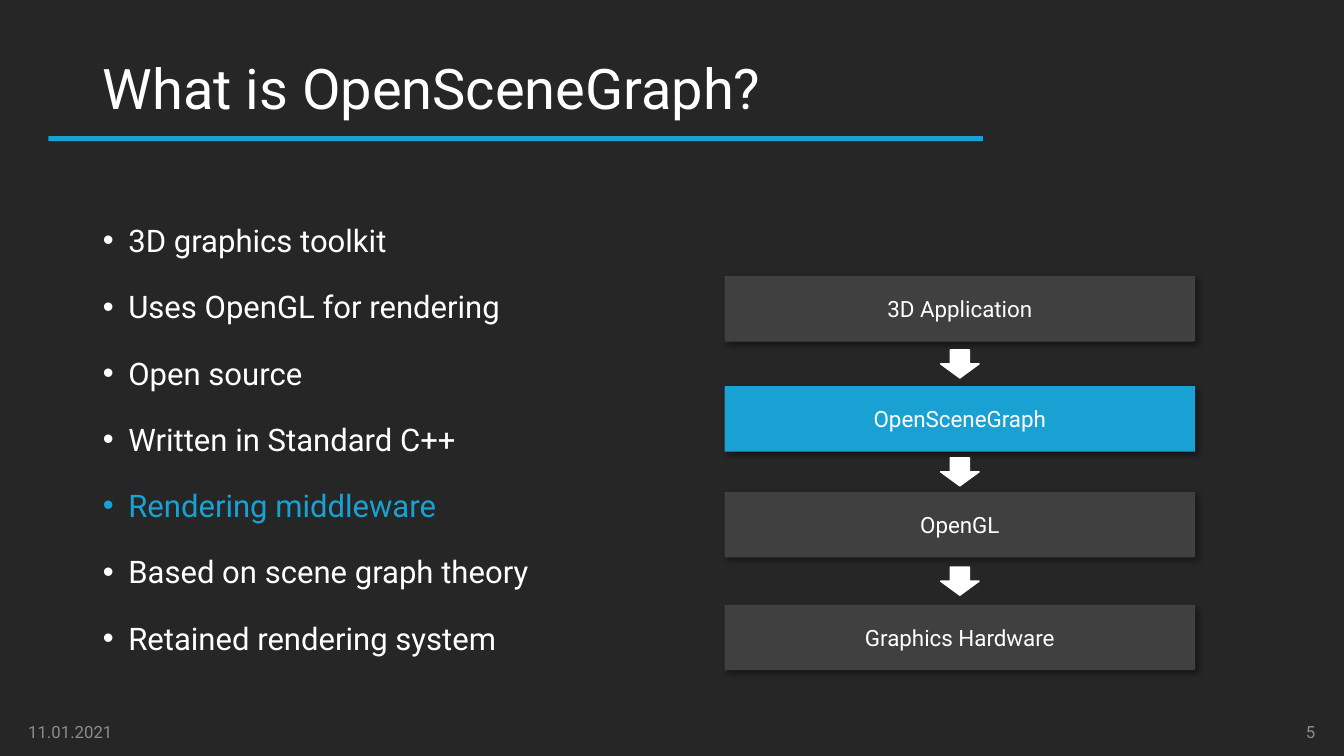
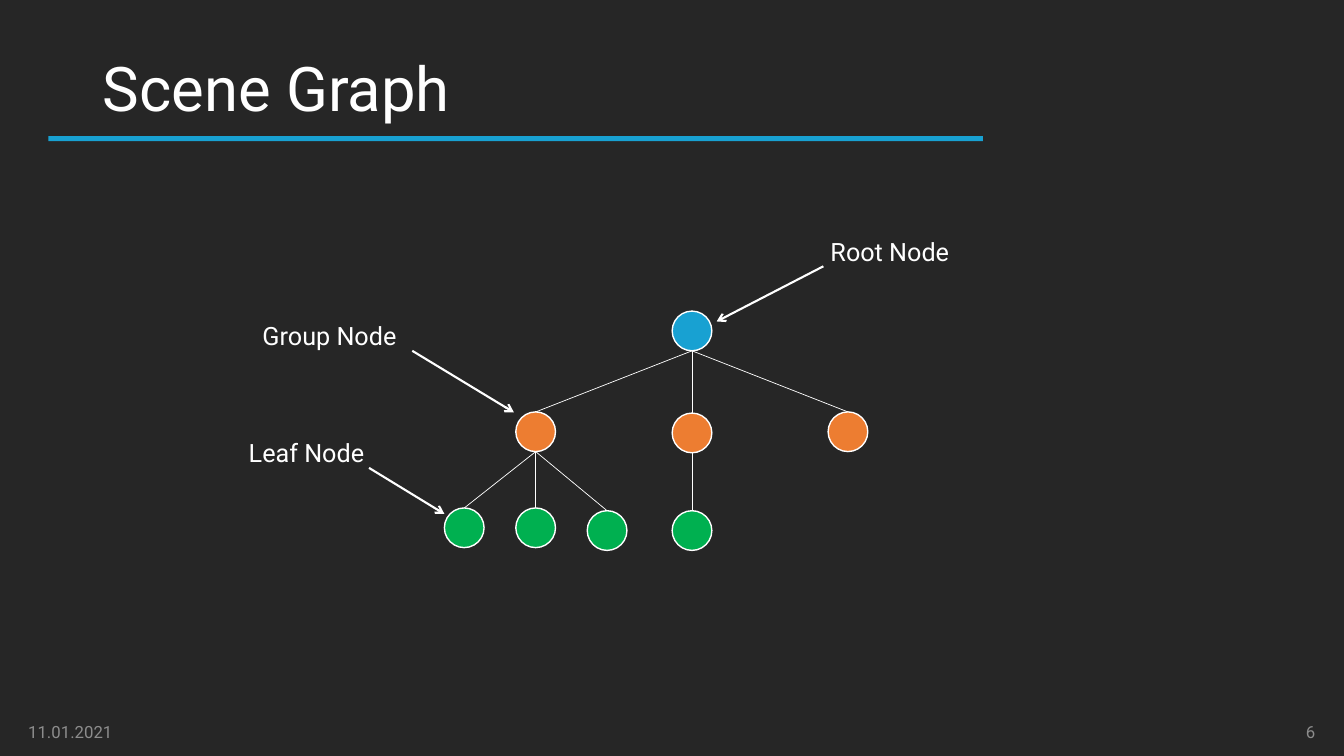
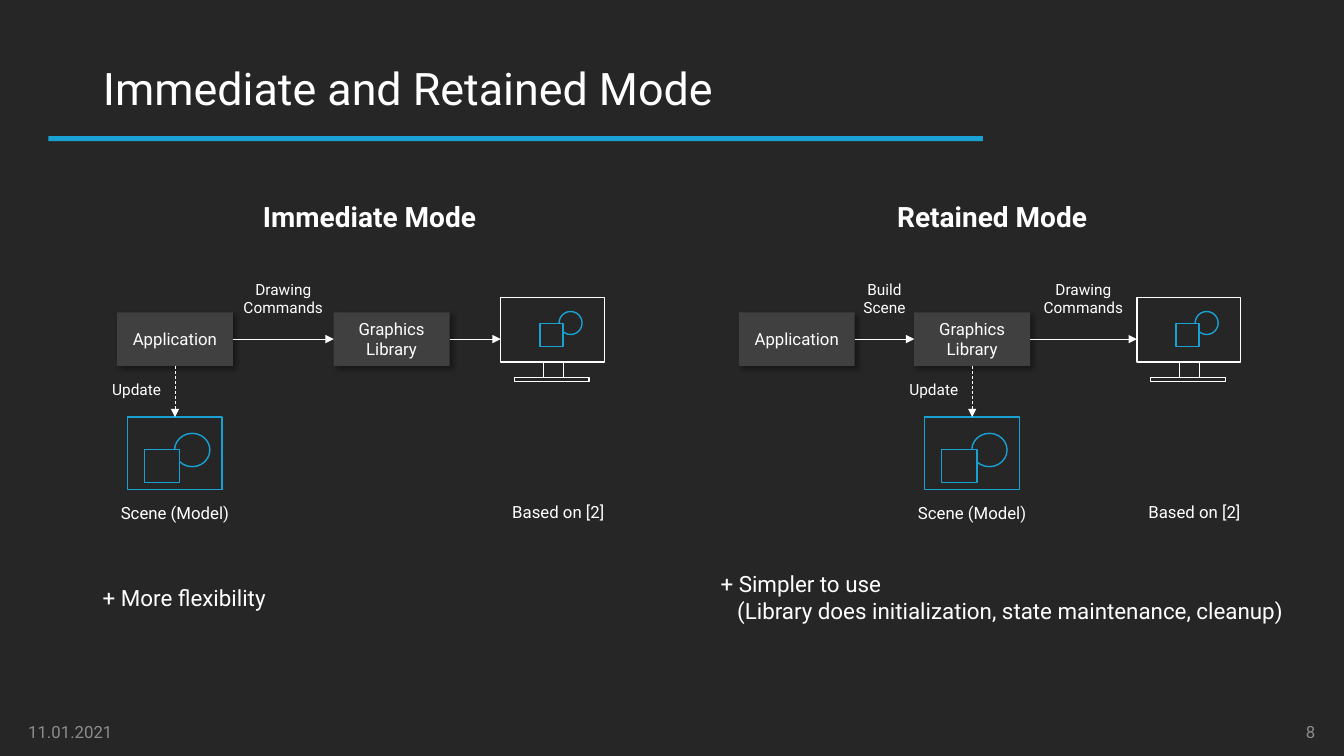
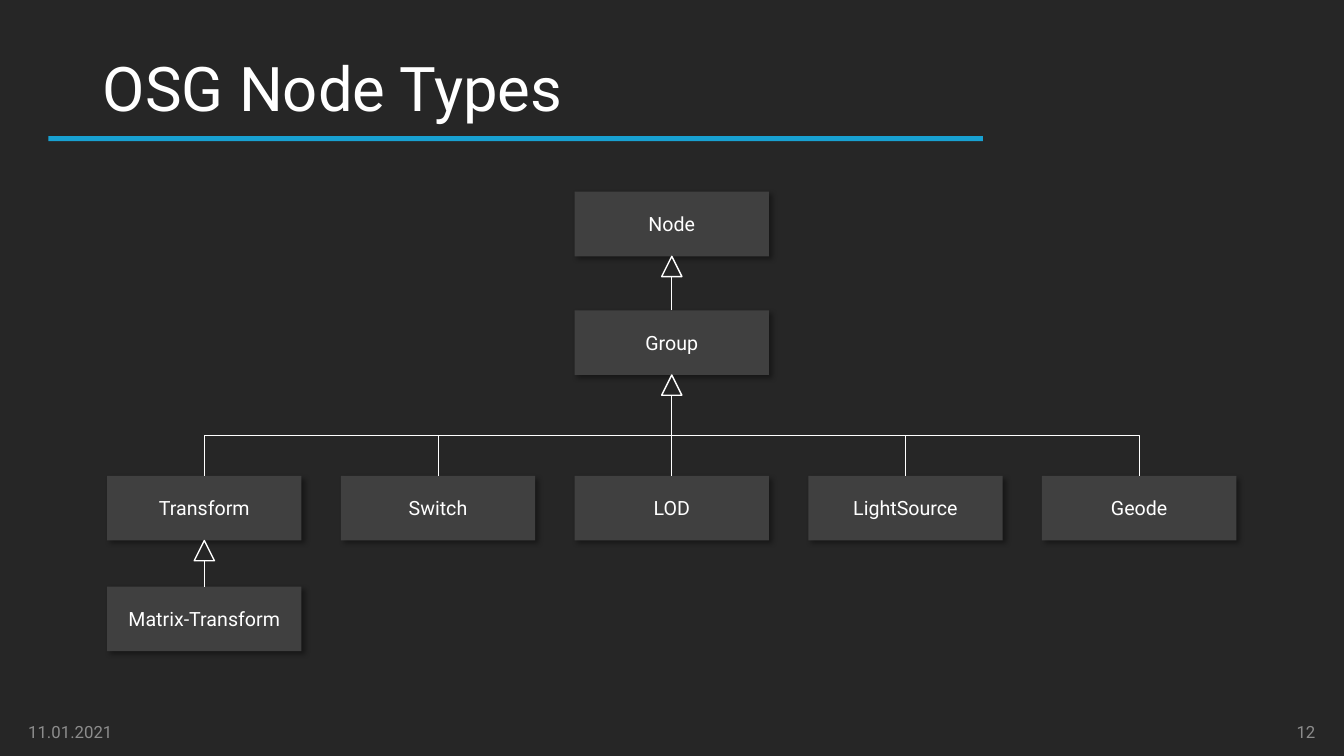
from lxml.etree import SubElement
from pptx import Presentation
from pptx.dml.color import RGBColor
from pptx.enum.dml import MSO_LINE
from pptx.enum.shapes import MSO_CONNECTOR as Link, MSO_SHAPE as Kind
from pptx.enum.text import MSO_ANCHOR as Anchor, MSO_AUTO_SIZE, PP_ALIGN as Align
from pptx.oxml.ns import qn
from pptx.util import Cm, Pt

# Shared style
FONT = "Roboto"
BACKGROUND = RGBColor(0x26, 0x26, 0x26)
PANEL = RGBColor(0x40, 0x40, 0x40)
BLUE = RGBColor(0x18, 0xA1, 0xD2)
ORANGE = RGBColor(0xED, 0x7D, 0x31)
GREEN = RGBColor(0x00, 0xB0, 0x50)
WHITE = RGBColor(0xFF, 0xFF, 0xFF)
GREY = RGBColor(0x8C, 0x8C, 0x8C)
BULLET_LAYOUT, TITLE_LAYOUT = 1, 5
DATE = "11.01.2021"


# Text
def write(frame, text, size, colour=WHITE, align=Align.LEFT, bold=False, spacing=None):
    frame.text = text
    frame.word_wrap = True
    for paragraph in frame.paragraphs:
        paragraph.alignment = align
        if spacing:
            paragraph.line_spacing = spacing
        for run in paragraph.runs:
            run.font.name = FONT
            run.font.size = Pt(size)
            run.font.bold = bold
            run.font.color.rgb = colour


def add_label(slide, text, box, size, anchor=Anchor.TOP, **style):
    label = slide.shapes.add_textbox(*map(Cm, box))
    label.text_frame.vertical_anchor = anchor
    write(label.text_frame, text, size, **style)
    return label


def indent(paragraph, left, first=0):
    properties = paragraph._p.get_or_add_pPr()
    properties.set("marL", str(Cm(left)))
    properties.set("indent", str(Cm(first)))
    return properties


# Shapes and lines
def add_figure(shapes, kind, box, fill=None, line=None):
    figure = shapes.add_shape(kind, *map(Cm, box))
    figure.shadow.inherit = False
    if fill is None:
        figure.fill.background()
    else:
        figure.fill.solid()
        figure.fill.fore_color.rgb = fill
    if line is None:
        figure.line.fill.background()
    else:
        figure.line.color.rgb = line
        figure.line.width = Pt(1)
    return figure


def add_block(slide, text, box, size, fill=PANEL):
    """Filled box with centred text and a soft shadow."""
    block = add_figure(slide.shapes, Kind.RECTANGLE, box, fill)
    effects = block.element.spPr.find(qn("a:effectLst"))
    shadow = SubElement(effects, qn("a:outerShdw"), blurRad=str(Pt(4)),
                        dist=str(Pt(3)), dir="2700000", algn="tl", rotWithShape="0")
    tint = SubElement(shadow, qn("a:srgbClr"), val="000000")
    SubElement(tint, qn("a:alpha"), val="40000")
    block.text_frame.vertical_anchor = Anchor.MIDDLE
    write(block.text_frame, text, size, align=Align.CENTER)


def add_line(slide, start, end, width=0.5, head=None, dashed=False, kind=Link.STRAIGHT):
    line = slide.shapes.add_connector(kind, *map(Cm, (*start, *end)))
    line.line.color.rgb = WHITE
    line.line.width = Pt(width)
    if dashed:
        line.line.dash_style = MSO_LINE.DASH
    properties = line.element.spPr
    if head:
        SubElement(properties.find(qn("a:ln")), qn("a:tailEnd"), type=head)
    SubElement(properties, qn("a:effectLst"))
    return line


def add_upward_elbow(slide, start, end):
    """Elbow leaving upwards: a sideways one, turned by 270 degrees."""
    (x1, y1), (x2, y2) = start, end
    middle_x, middle_y = (x1 + x2) / 2, (y1 + y2) / 2
    half_rise, half_run = (y1 - y2) / 2, (x2 - x1) / 2
    elbow = add_line(slide, (middle_x - half_rise, middle_y - half_run),
                     (middle_x + half_rise, middle_y + half_run), kind=Link.ELBOW)
    elbow.element.spPr.find(qn("a:xfrm")).set("rot", "16200000")


# Slide frame
def new_slide(prs, layout, title, title_size, number):
    slide = prs.slides.add_slide(prs.slide_layouts[layout])
    heading = slide.shapes.title
    heading.left, heading.top, heading.width, heading.height = map(Cm, (2.34, 0.46, 29.21, 3.68))
    heading.text_frame.auto_size = MSO_AUTO_SIZE.NONE
    heading.text_frame.vertical_anchor = Anchor.MIDDLE
    write(heading.text_frame, title, title_size, spacing=0.9)
    for text, left, align in ((DATE, 0.46, Align.LEFT), (str(number), 25.78, Align.RIGHT)):
        add_label(slide, text, (left, 17.93, 7.62, 1.02), 12, Anchor.MIDDLE,
                  colour=GREY, align=align)
    return slide


def style_master(prs, slide):
    """Dark background, and the title band moved from a slide to the master."""
    master = prs.slide_master
    master.background.fill.solid()
    master.background.fill.fore_color.rgb = BACKGROUND
    band = add_figure(slide.shapes, Kind.RECTANGLE, (1.22, 3.43, 23.55, 0.13), BLUE)
    band.element.nvSpPr.cNvPr.set("id", "20")
    master.shapes.element.append(band.element)


# Slide: what is OpenSceneGraph
def fill_bullets(slide, items, highlight):
    body = slide.placeholders[1]
    body.left, body.top, body.width, body.height = map(Cm, (2.34, 5.08, 29.21, 12.09))
    body.text_frame.auto_size = MSO_AUTO_SIZE.NONE
    write(body.text_frame, "\n".join(items), 22.2, spacing=1.4)
    for paragraph in body.text_frame.paragraphs:
        paragraph.space_before = Pt(10)
        SubElement(indent(paragraph, 0.64, -0.64), qn("a:buChar"), char="•")
        if paragraph.text == highlight:
            paragraph.runs[0].font.color.rgb = BLUE


def add_layer_stack(slide):
    left, width, height = 18.26, 11.86, 1.65
    arrow_width, arrow_height = 0.97, 0.71
    layers = (("3D Application", 6.96), ("OpenSceneGraph", 9.73),
              ("OpenGL", 12.4), ("Graphics Hardware", 15.24))
    for name, top in layers:
        fill = BLUE if name == "OpenSceneGraph" else PANEL
        add_block(slide, name, (left, top, width, height), 16, fill)
    for (_, upper), (_, lower) in zip(layers, layers[1:]):
        arrow_top = (upper + height + lower - arrow_height) / 2
        add_figure(slide.shapes, Kind.DOWN_ARROW,
                   (left + (width - arrow_width) / 2, arrow_top, arrow_width, arrow_height),
                   WHITE, WHITE)


def build_overview(prs):
    slide = new_slide(prs, BULLET_LAYOUT, "What is OpenSceneGraph?", 40, 5)
    style_master(prs, slide)
    fill_bullets(slide, ("3D graphics toolkit", "Uses OpenGL for rendering", "Open source",
                         "Written in Standard C++", "Rendering middleware",
                         "Based on scene graph theory", "Retained rendering system"),
                 "Rendering middleware")
    add_layer_stack(slide)


# Slide: scene graph
def add_tree(slide, node, level=0):
    """Draw a node (centre x, centre y, children) and all below it."""
    x, y, children = node
    radius = 0.5
    add_figure(slide.shapes, Kind.OVAL, (x - radius, y - radius, 2 * radius, 2 * radius),
               (BLUE, ORANGE, GREEN)[level], WHITE)
    for child in children:
        add_line(slide, (x, y + radius), (child[0], child[1] - radius))
        add_tree(slide, child, level + 1)


def build_scene_graph(prs):
    slide = new_slide(prs, TITLE_LAYOUT, "Scene Graph", 44, 6)
    left_group = (13.5, 10.88, [(11.7, 13.3, []), (13.5, 13.3, []), (15.3, 13.37, [])])
    middle_group = (17.44, 10.91, [(17.44, 13.37, [])])
    right_group = (21.37, 10.88, [])
    add_tree(slide, (17.44, 8.34, [left_group, middle_group, right_group]))
    for text, left, top, start, end in (
            ("Root Node", 20.47, 5.84, (20.75, 6.71), (18.06, 8.1)),
            ("Group Node", 6.35, 7.95, (10.39, 8.84), (12.95, 10.39)),
            ("Leaf Node", 5.77, 10.9, (9.3, 11.79), (11.2, 12.95))):
        add_label(slide, text, (left, top, 3.91, 1.02), 18, align=Align.CENTER)
        add_line(slide, start, end, 1.5, "arrow")


# Slide: immediate and retained mode
def add_drawing(slide, left, top, parts):
    """Group of outlined parts: kind, box from the corner, line, fill."""
    group = slide.shapes.add_group_shape()
    for kind, (x, y, width, height), line, fill in parts:
        add_figure(group.shapes, kind, (left + x, top + y, width, height), fill, line)


SCENE = ((Kind.RECTANGLE, (0, 0, 2.39, 1.83), BLUE, None),
         (Kind.OVAL, (1.19, 0.41, 0.89, 0.84), BLUE, None),
         (Kind.RECTANGLE, (0.43, 0.81, 0.89, 0.84), BLUE, BACKGROUND))
MONITOR = ((Kind.RECTANGLE, (0, 0, 2.62, 1.63), WHITE, None),
           (Kind.RECTANGLE, (0.35, 2.03, 1.88, 0.1), WHITE, None),
           (Kind.RECTANGLE, (1.07, 1.63, 0.51, 0.4), WHITE, None),
           (Kind.OVAL, (1.47, 0.36, 0.58, 0.58), BLUE, None),
           (Kind.RECTANGLE, (0.99, 0.66, 0.58, 0.58), BLUE, BACKGROUND))


def add_mode(slide, title, title_left, application, library, monitor, scene_owner, commands):
    """One pipeline; the numbers are left edges, the scene hangs below its owner."""
    width, height, top, label_width = 2.92, 1.35, 7.87, 5.03
    middle, scene_top = top + height / 2, 10.51
    add_label(slide, title, (title_left, 4.9, 10.19, 1.12), 20, align=Align.CENTER, bold=True)
    for name, left in (("Application", application), ("Graphics Library", library)):
        add_block(slide, name, (left, top, width, height), 12)
    add_drawing(slide, monitor, 7.49, MONITOR)
    stops = ((application + width, library), (library + width, monitor))
    for (start, end), command in zip(stops, commands):
        add_line(slide, (start, middle), (end, middle), head="triangle")
        if command:
            add_label(slide, command, ((start + end - label_width) / 2, 6.93, label_width, 1.19),
                      11, align=Align.CENTER)
    centre = scene_owner + width / 2
    add_drawing(slide, centre - 1.2, scene_top, SCENE)
    add_line(slide, (centre, top + height), (centre, scene_top), head="triangle", dashed=True)
    add_label(slide, "Update", (centre - 3.48, 9.45, label_width, 0.74), 11, align=Align.CENTER)
    add_label(slide, "Scene (Model)", (centre - label_width / 2, 12.55, label_width, 0.76),
              12, align=Align.CENTER)
    add_label(slide, "Based on [2]", (monitor + 0.04, 12.53, 3.15, 0.76), 12)


def build_modes(prs):
    slide = new_slide(prs, TITLE_LAYOUT, "Immediate and Retained Mode", 32, 8)
    add_mode(slide, "Immediate Mode", 4.22, application=2.95, library=8.41, monitor=12.62,
             scene_owner=2.95, commands=("Drawing\nCommands", None))
    add_mode(slide, "Retained Mode", 19.91, application=18.62, library=23.04, monitor=28.65,
             scene_owner=23.04, commands=("Build\nScene", "Drawing\nCommands"))
    add_label(slide, "+ More flexibility", (2.34, 14.25, 12.88, 1.14), 16, spacing=1.5)
    simpler = add_label(
        slide, "+ Simpler to use\n(Library does initialization, state maintenance, cleanup)",
        (17.91, 14.25, 15.75, 1.63), 16)
    indent(simpler.text_frame.paragraphs[1], 0.42)


# Slide: OSG node types
def build_node_types(prs):
    slide = new_slide(prs, TITLE_LAYOUT, "OSG Node Types", 44, 12)
    width, height, head, pitch, centre = 4.9, 1.63, 0.51, 5.89, 16.93
    node_top, group_top, kinds_top, matrix_top = 4.83, 7.82, 11.99, 14.78
    kinds = ("Transform", "Switch", "LOD", "LightSource", "Geode")
    columns = [centre + (i - 2) * pitch for i in range(len(kinds))]

    blocks = [("Node", centre, node_top), ("Group", centre, group_top),
              ("Matrix-Transform", columns[0], matrix_top)]
    blocks += [(name, x, kinds_top) for name, x in zip(kinds, columns)]
    for name, x, top in blocks:
        add_block(slide, name, (x - width / 2, top, width, height), 14)

    # Inheritance arrows
    for x, parent_top, child_top in ((centre, node_top, group_top),
                                     (centre, group_top, kinds_top),
                                     (columns[0], kinds_top, matrix_top)):
        tip = parent_top + height
        add_figure(slide.shapes, Kind.ISOSCELES_TRIANGLE, (x - head / 2, tip, head, head),
                   line=WHITE)
        add_line(slide, (x, child_top), (x, tip + head))
    for x in columns:
        if x != centre:
            add_upward_elbow(slide, (x, kinds_top), (centre, group_top + height + head))


def main():
    prs = Presentation()
    prs.slide_width, prs.slide_height = Cm(33.87), Cm(19.05)
    build_overview(prs)
    build_scene_graph(prs)
    build_modes(prs)
    build_node_types(prs)
    prs.save("out.pptx")


if __name__ == "__main__":
    main()
